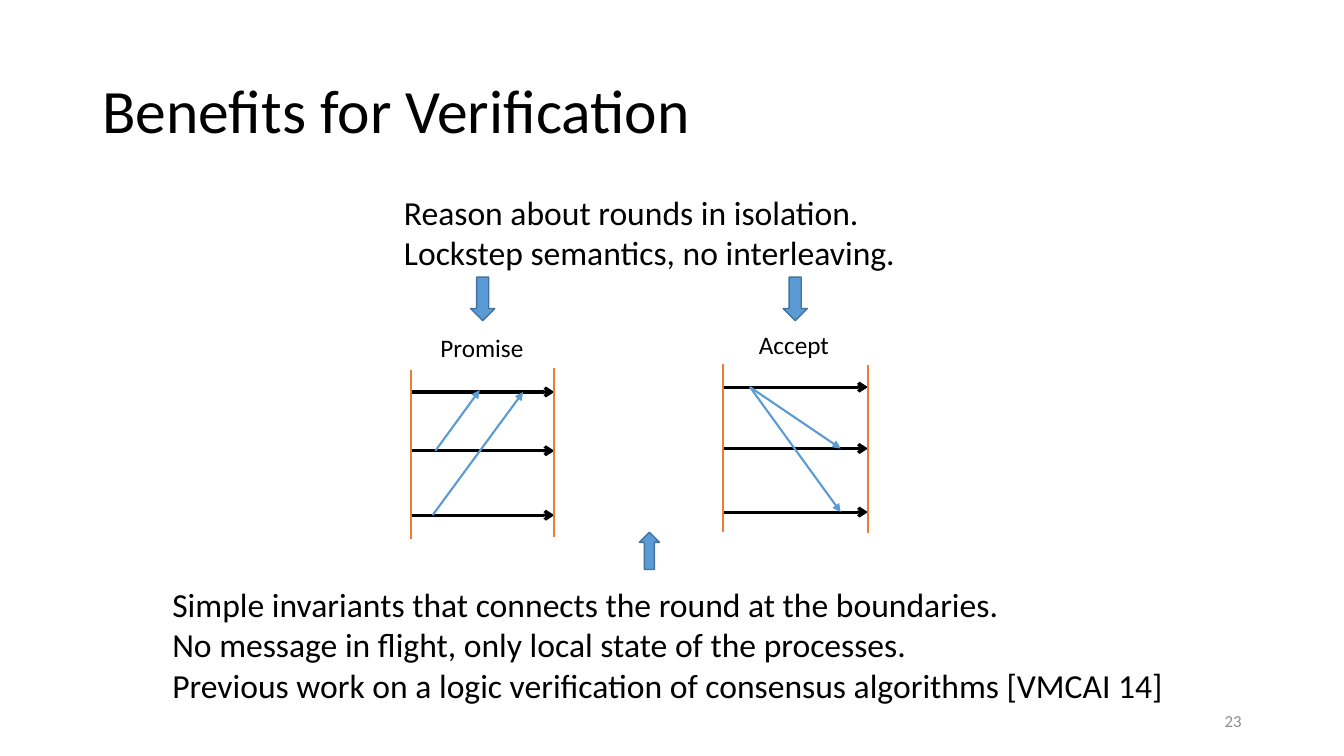
"""Build the slide on the benefits of lockstep rounds for verification."""
from lxml.etree import SubElement
from pptx import Presentation
from pptx.dml.color import RGBColor
from pptx.enum.shapes import MSO_CONNECTOR, MSO_SHAPE
from pptx.enum.text import MSO_ANCHOR, PP_ALIGN
from pptx.oxml.ns import qn
from pptx.util import Pt

BLACK, BLUE, ORANGE = "000000", "5B9BD5", "ED7D31"


def write(shape, box, lines, size, color=BLACK, align=PP_ALIGN.LEFT, wrap=False, anchor=MSO_ANCHOR.TOP):
    shape.left, shape.top, shape.width, shape.height = map(Pt, box)
    frame = shape.text_frame
    frame.word_wrap = wrap
    frame.vertical_anchor = anchor
    for i, line in enumerate(lines):
        para = frame.add_paragraph() if i else frame.paragraphs[0]
        para.alignment = align
        run = para.add_run()
        run.text = line
        run.font.name = "Calibri"
        run.font.size = Pt(size)
        run.font.color.rgb = RGBColor.from_string(color)
    return frame


def draw(start, end, color, width, head=None):
    line = shapes.add_connector(MSO_CONNECTOR.STRAIGHT, *map(Pt, start + end))
    line.line.color.rgb = RGBColor.from_string(color)
    line.line.width = Pt(width)
    if head:
        SubElement(line.line._get_or_add_ln(), qn("a:tailEnd"), type=head)
    SubElement(line._element.spPr, qn("a:effectLst"))


deck = Presentation()
deck.slide_width, deck.slide_height = Pt(960), Pt(540)
slide = deck.slides.add_slide(deck.slide_layouts[5])
shapes = slide.shapes

title = write(shapes.title, (66, 28.8, 828, 104.4), ["Benefits for Verification"], 44,
              wrap=True, anchor=MSO_ANCHOR.MIDDLE)
title.paragraphs[0].line_spacing = 0.9

rounds = [
    ("Promise", (307.5, 234, 74, 29), (293.8, 396), (280, 322, 368),
     (264.2, 262.8), 121,
     [((311, 322), (342.7, 278.6)), ((309, 368), (373.7, 280))]),
    ("Accept", (535, 231.6, 65, 29), (516.2, 620), (276.5, 320.4, 365.8),
     (260, 260.6), 120.3,
     [((535.7, 276.5), (600.5, 320.4)), ((535.7, 276.5), (600.5, 365.8))]),
]
for name, box, sides, rows, tops, tall, sends in rounds:
    for y in rows:
        draw((sides[0], y), (sides[1], y), BLACK, 2.25, "arrow")
    for start, end in sends:
        draw(start, end, BLUE, 1.5, "triangle")
    write(shapes.add_textbox(0, 0, 0, 0), box, [name], 18)
    for x, top in zip(sides, tops):
        draw((x, top), (x, top + tall), ORANGE, 1.5)

write(shapes.add_textbox(0, 0, 0, 0), (281.5, 133.2, 376.6, 65.5), [
    "Reason about rounds in isolation.",
    "Lockstep semantics, no interleaving.",
], 24)
write(shapes.add_textbox(0, 0, 0, 0), (116, 413.5, 728.6, 94.3), [
    "Simple invariants that connects the round at the boundaries.",
    "No message in flight, only local state of the processes.",
    "Previous work on a logic verification of consensus algorithms [VMCAI 14]",
], 24)

for kind, box in [
    (MSO_SHAPE.UP_ARROW, (456.7, 380.2, 14.4, 26.6)),
    (MSO_SHAPE.DOWN_ARROW, (559.4, 198, 17.3, 31)),
    (MSO_SHAPE.DOWN_ARROW, (336.2, 198, 17.3, 31)),
]:
    arrow = shapes.add_shape(kind, *map(Pt, box))
    arrow.shadow.inherit = False
    arrow.fill.solid()
    arrow.fill.fore_color.rgb = RGBColor.from_string(BLUE)
    arrow.line.color.rgb = RGBColor.from_string("43739E")
    arrow.line.width = Pt(1)

write(shapes.add_textbox(0, 0, 0, 0), (678, 500.5, 216, 28.8), ["23"], 12, "8C8C8C",
      PP_ALIGN.RIGHT, True, MSO_ANCHOR.MIDDLE)

deck.save("out.pptx")
